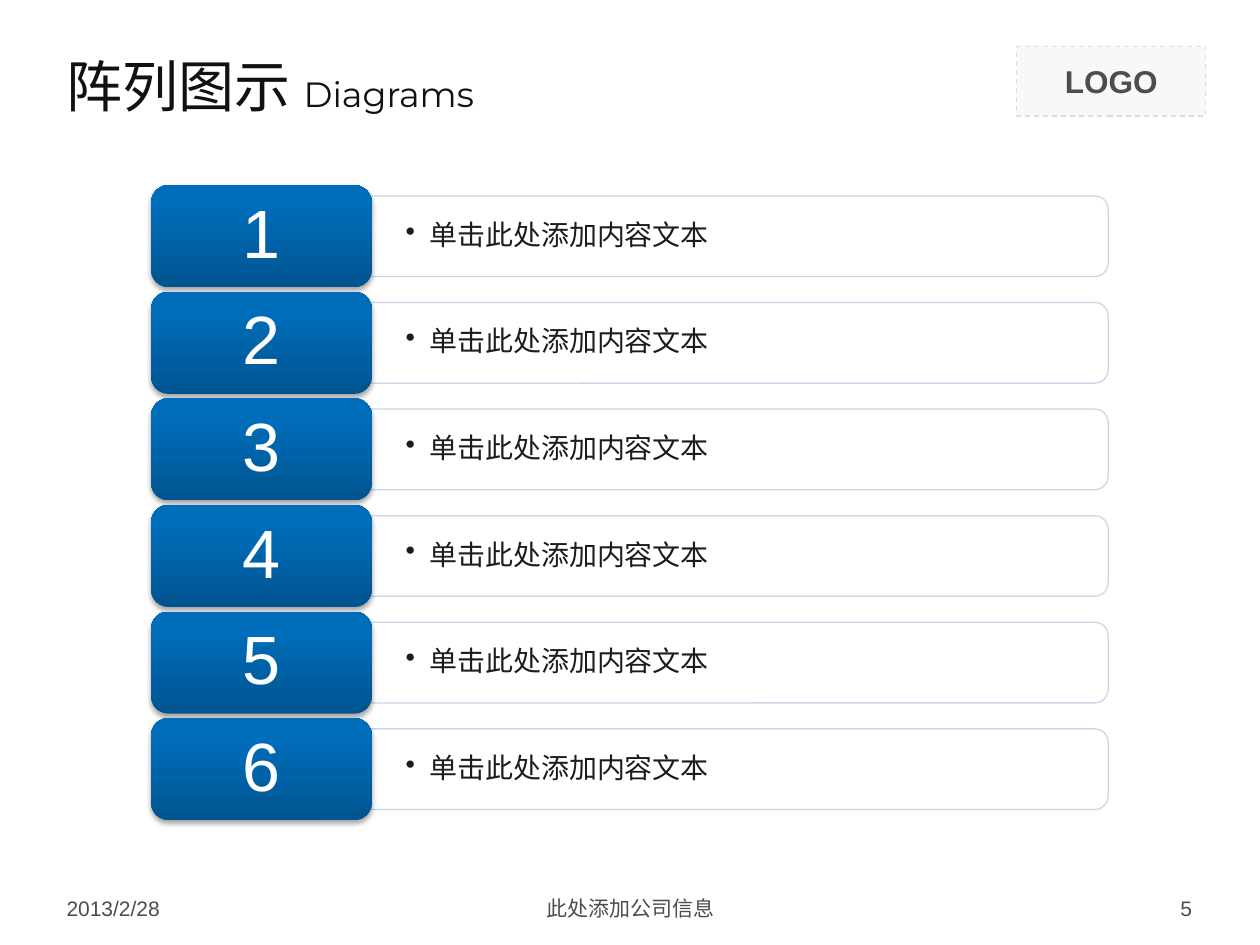
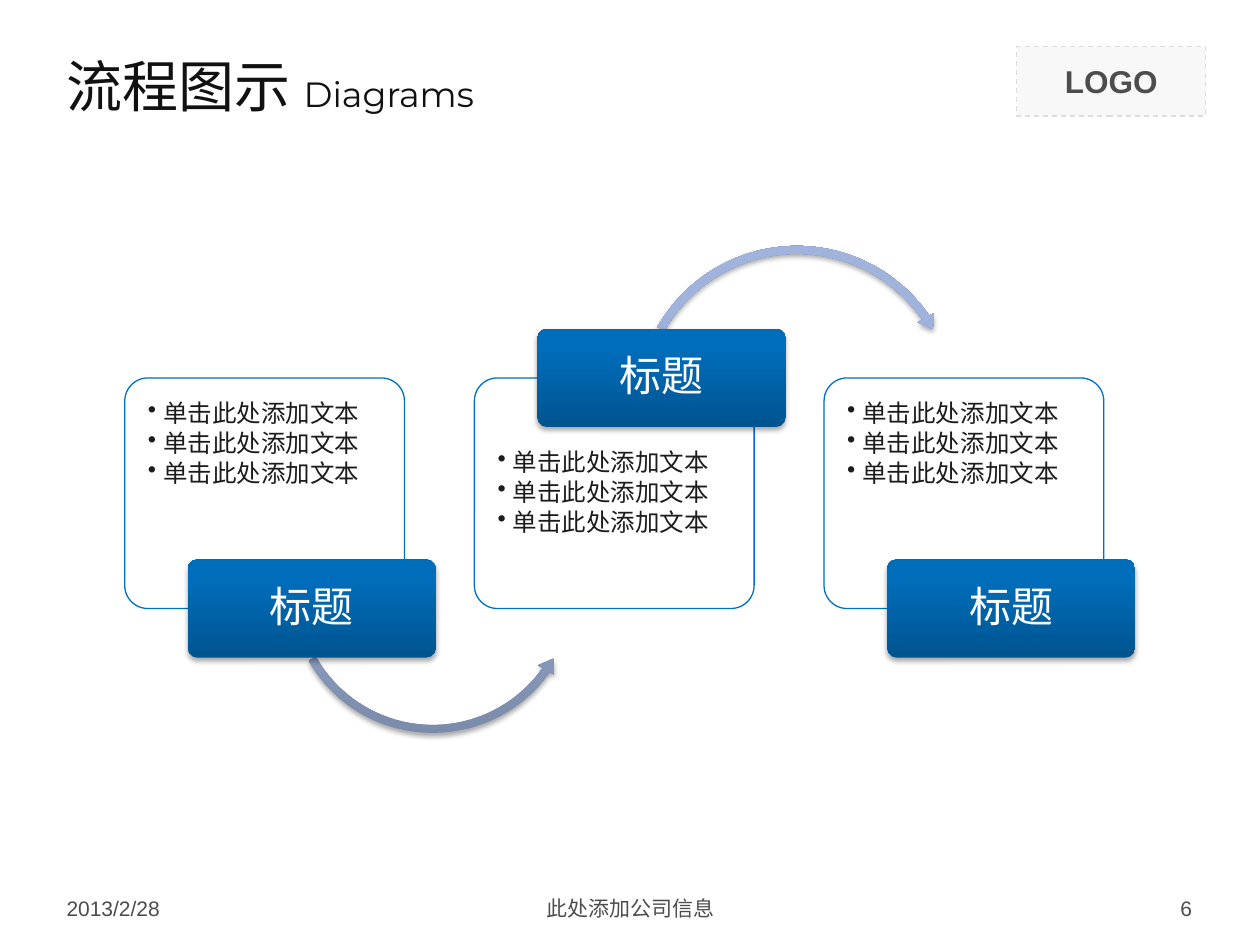
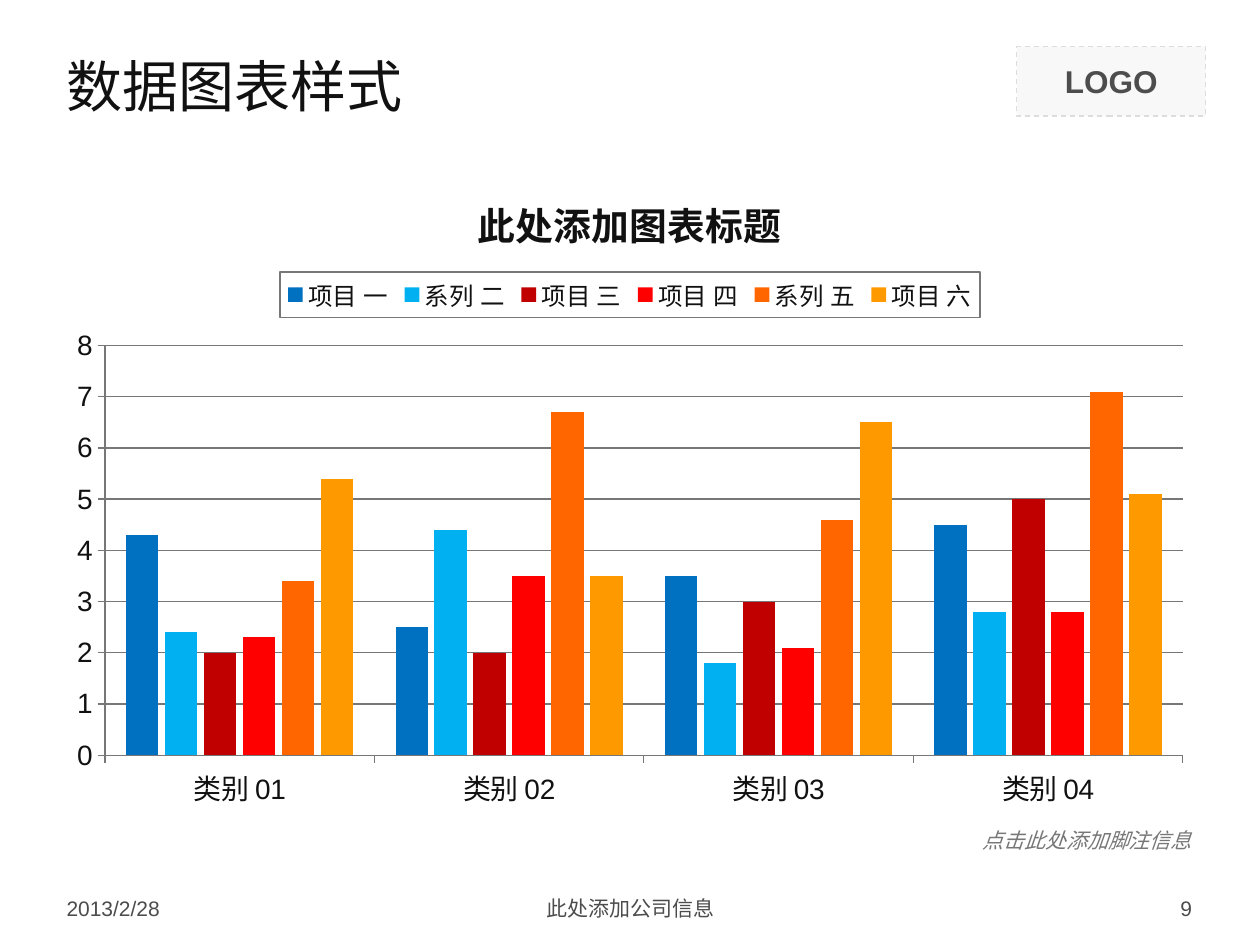
import pptx
import pptx.chart.data
import pptx.dml.color
import pptx.enum.chart
import pptx.enum.dml
import pptx.enum.shapes
import pptx.enum.text
import pptx.oxml
import pptx.oxml.ns
import pptx.util

Inches, Pt = pptx.util.Inches, pptx.util.Pt
KIND = pptx.enum.shapes.MSO_SHAPE
ALIGN = pptx.enum.text.PP_ALIGN
ANCHOR = pptx.enum.text.MSO_ANCHOR
NS = pptx.oxml.ns.nsdecls("a")

# Shared look
FONT, HEAD = "Arial", "Montserrat"
INK, TEXT, GREY, RULE = "111111", "1C1C1C", "4C4C4C", "777777"
WHITE, BLUE, PALE = "FFFFFF", "0070C0", "CCD5E8"
DEEP = ("00548F", "006DBA")
STEEL = ("7A8AAA", "9FB3DC")
DATE, FIRM, EXTRA = "2013/2/28", "此处添加公司信息", "Diagrams"

# Slide with numbered rows
ROWS = ["单击此处添加内容文本"] * 6
ROW_TOP, ROW_END = 1.47, 5.7

# Slide with steps: heading, heading on top?, points
POINTS = ["单击此处添加文本"] * 3
STEPS = [("标题", False, POINTS), ("标题", True, POINTS), ("标题", False, POINTS)]
CARD_X, CARD_END, CARD_Y, CARD_W, CARD_H = 0.99, 6.54, 3, 2.22, 1.83
HEAD_W, HEAD_H = 1.97, 0.78
# Arrow after each step: shape, box, adjustments in percent
ARROWS = [
    (KIND.LEFT_CIRCULAR_ARROW, (2.26, 3.51, 2.35, 2.35),
     (2.7, 332.7, 2108.2, 9024.5, 3.2)),
    (KIND.CIRCULAR_ARROW, (5.01, 1.91, 2.63, 2.63),
     (2.4, 294.8, 19529.7, 12575.5, 2.8)),
]

# Slide with chart
CHART = "此处添加图表标题"
NOTE = "点击此处添加脚注信息"
GROUPS = ["类别 01", "类别 02", "类别 03", "类别 04"]
SERIES = [
    ("项目 一", (4.3, 2.5, 3.5, 4.5), "0070C0"),
    ("系列 二", (2.4, 4.4, 1.8, 2.8), "00B0F0"),
    ("项目 三", (2, 2, 3, 5), "C00000"),
    ("项目 四", (2.3, 3.5, 2.1, 2.8), "FF0000"),
    ("系列 五", (3.4, 6.7, 4.6, 7.1), "FF6600"),
    ("项目 六", (5.4, 3.5, 6.5, 5.1), "FF9900"),
]


def color(code):
    return pptx.dml.color.RGBColor.from_string(code)


def style(font, size, code, name=FONT, bold=False, slant=False):
    font.size, font.name = Pt(size), name
    font.bold, font.italic = bold, slant
    font.color.rgb = color(code)


def write(shape, lines, size, code, align=ALIGN.LEFT, anchor=ANCHOR.MIDDLE,
          inset=(0.1, 0.05), top=None, hang=0, pitch=None, wrap=True, **look):
    """Fill a shape with paragraphs; a hang above zero makes them bullets."""
    frame = shape.text_frame
    frame.word_wrap, frame.vertical_anchor = wrap, anchor
    frame.margin_left = frame.margin_right = Inches(inset[0])
    frame.margin_top = Inches(inset[1] if top is None else top)
    frame.margin_bottom = Inches(inset[1])
    frame.text = "\n".join(lines)
    for para in frame.paragraphs:
        para.alignment, para.line_spacing = align, pitch
        style(para.font, size, code, **look)
        if hang:
            para.space_after = Pt(2)
            props = para._p.get_or_add_pPr()
            props.set("marL", str(Inches(hang)))
            props.set("indent", str(-Inches(hang)))
            props.append(pptx.oxml.parse_xml(f'<a:buChar {NS} char="•"/>'))


def label(slide, box, text, size, code, **look):
    shape = slide.shapes.add_textbox(*map(Inches, box))
    write(shape, [text], size, code, **look)


def block(slide, kind, box, fill, line=None, adjust=()):
    shape = slide.shapes.add_shape(kind, *map(Inches, box))
    shape.shadow.inherit = False
    for spot, value in enumerate(adjust):
        shape.adjustments[spot] = value
    shape.fill.solid()
    shape.fill.fore_color.rgb = color(fill)
    if line:
        shape.line.color.rgb = color(line)
        shape.line.width = Pt(0.75)
    else:
        shape.line.fill.background()
    return shape


def panel(slide, kind, box, line, adjust=()):
    """White, slightly clear block."""
    shape = block(slide, kind, box, WHITE, line, adjust)
    tint = shape.fill._xPr.find(".//" + pptx.oxml.ns.qn("a:srgbClr"))
    tint.append(pptx.oxml.parse_xml(f'<a:alpha {NS} val="90000"/>'))
    return shape


def glossy(slide, kind, box, shades, adjust=()):
    """Block with an upward gradient and a soft shadow."""
    shape = block(slide, kind, box, shades[0], adjust=adjust)
    shape.fill.gradient()
    shape.fill.gradient_angle = 90
    for stop, shade, place in zip(shape.fill.gradient_stops, shades, (0, 0.8)):
        stop.color.rgb, stop.position = color(shade), place
    effects = shape._element.spPr.find(pptx.oxml.ns.qn("a:effectLst"))
    effects.append(pptx.oxml.parse_xml(
        f'<a:outerShdw {NS} blurRad="{Pt(3.1)}" dist="{Pt(1.8)}" dir="5400000" '
        'rotWithShape="0"><a:srgbClr val="000000"><a:alpha val="35000"/>'
        '</a:srgbClr></a:outerShdw>'))
    return shape


def start(deck, title, number, extra=None):
    """Add a slide with its logo box, title and footer."""
    slide = deck.slides.add_slide(deck.slide_layouts[5])
    logo = block(slide, KIND.RECTANGLE, (8.07, 0.37, 1.5, 0.55), "F8F8F8", "DDDDDD")
    logo.line.dash_style = pptx.enum.dml.MSO_LINE.DASH
    write(logo, ["LOGO"], 18, "4D4D4D", ALIGN.CENTER, bold=True)

    head = slide.shapes.title
    head.left, head.top, head.width, head.height = map(Inches, (0.43, 0.28, 9.14, 0.79))
    write(head, [title + " " if extra else title], 32, INK, name=HEAD)
    head.text_frame.auto_size = pptx.enum.text.MSO_AUTO_SIZE.NONE
    if extra:
        run = head.text_frame.paragraphs[0].add_run()
        run.text, run.font.size = extra, Pt(20)

    for left, width, text, align in (
            (0.43, 2.33, DATE, ALIGN.LEFT),
            (3.42, 3.17, FIRM, ALIGN.CENTER),
            (7.23, 2.33, str(number), ALIGN.RIGHT)):
        label(slide, (left, 7.06, width, 0.29), text, 12, GREY, align=align)
    return slide


def add_rows(deck):
    slide = start(deck, "阵列图示", 5, EXTRA)
    pitch = (ROW_END - ROW_TOP) / (len(ROWS) - 1)
    for index, text in enumerate(ROWS):
        top = ROW_TOP + index * pitch
        middle = top + 0.81 / 2
        strip = panel(slide, KIND.ROUND_2_SAME_RECTANGLE,
                      (5.55, middle - 5.85 / 2, 0.64, 5.85), PALE)
        strip.rotation = 90
        label(slide, (2.95, middle - 0.29, 5.82, 0.58), text, 16, TEXT,
              inset=(0.27, 0.14), hang=0.19, pitch=0.9)
        badge = glossy(slide, KIND.ROUNDED_RECTANGLE, (1.2, top, 1.75, 0.81), DEEP)
        write(badge, [str(index + 1)], 39, WHITE, ALIGN.CENTER, pitch=0.9)


def add_steps(deck):
    slide = start(deck, "流程图示", 6, EXTRA)
    pitch = (CARD_END - CARD_X) / (len(STEPS) - 1)
    for index, (title, above, points) in enumerate(STEPS):
        left = CARD_X + index * pitch
        card = panel(slide, KIND.ROUNDED_RECTANGLE,
                     (left, CARD_Y, CARD_W, CARD_H), BLUE, (0.1,))
        write(card, points, 14, TEXT, anchor=ANCHOR.TOP, inset=(0.13, 0.13),
              top=0.13 + (HEAD_H / 2 if above else 0), hang=0.12, pitch=0.9)
        if index < len(ARROWS):
            kind, box, bends = ARROWS[index]
            glossy(slide, kind, box, STEEL, [bend / 100 for bend in bends])
        # The heading straddles the edge of its card
        edge = CARD_Y if above else CARD_Y + CARD_H
        plate = glossy(slide, KIND.ROUNDED_RECTANGLE,
                       (left + 0.5, edge - HEAD_H / 2, HEAD_W, HEAD_H), DEEP, (0.1,))
        write(plate, [title], 24, WHITE, ALIGN.CENTER, inset=(0.05, 0.03), pitch=0.9)


def add_chart(deck):
    slide = start(deck, "数据图表样式", 9)
    data = pptx.chart.data.CategoryChartData()
    data.categories = GROUPS
    for name, values, _ in SERIES:
        data.add_series(name, values)
    chart = slide.shapes.add_chart(
        pptx.enum.chart.XL_CHART_TYPE.COLUMN_CLUSTERED,
        *map(Inches, (0.43, 1.31, 9.14, 5.2)), data).chart
    style(chart.font, 18, INK)

    # Title and framed legend
    chart.has_title = True
    chart.chart_title.text_frame.text = CHART
    style(chart.chart_title.text_frame.paragraphs[0].font, 21.6, INK, bold=True)
    chart.chart_title.include_in_layout = False
    chart.has_legend = True
    legend = chart.legend
    legend.position = pptx.enum.chart.XL_LEGEND_POSITION.TOP
    legend.include_in_layout = False
    style(legend.font, 14, INK)
    names = pptx.oxml.ns.nsdecls("c", "a")
    legend._element.find(pptx.oxml.ns.qn("c:txPr")).addprevious(pptx.oxml.parse_xml(
        f'<c:spPr {names}><a:ln w="{Pt(0.75)}"><a:solidFill>'
        f'<a:srgbClr val="{RULE}"/></a:solidFill></a:ln></c:spPr>'))

    # Columns
    plot = chart.plots[0]
    plot.vary_by_categories, plot.gap_width, plot.overlap = False, 130, -20
    for series, (_, _, code) in zip(plot.series, SERIES):
        series.invert_if_negative = False
        series.format.fill.solid()
        series.format.fill.fore_color.rgb = color(code)

    # Axes
    scale = chart.value_axis
    scale.minimum_scale, scale.maximum_scale, scale.major_unit = 0, 8, 1
    scale.has_major_gridlines = True
    for axis in (chart.category_axis, scale):
        axis.major_tick_mark = pptx.enum.chart.XL_TICK_MARK.OUTSIDE
        style(axis.tick_labels.font, 16, INK)
    for part in (chart.category_axis, scale, scale.major_gridlines):
        part.format.line.color.rgb = color(RULE)
        part.format.line.width = Pt(0.75)

    label(slide, (7.68, 6.52, 1.88, 0.3), NOTE, 12, RULE, align=ALIGN.RIGHT,
          anchor=ANCHOR.TOP, wrap=False, slant=True)


def main():
    deck = pptx.Presentation()
    deck.slide_width, deck.slide_height = Inches(10), Inches(7.5)
    add_rows(deck)
    add_steps(deck)
    add_chart(deck)
    deck.save("out.pptx")


if __name__ == "__main__":
    main()
